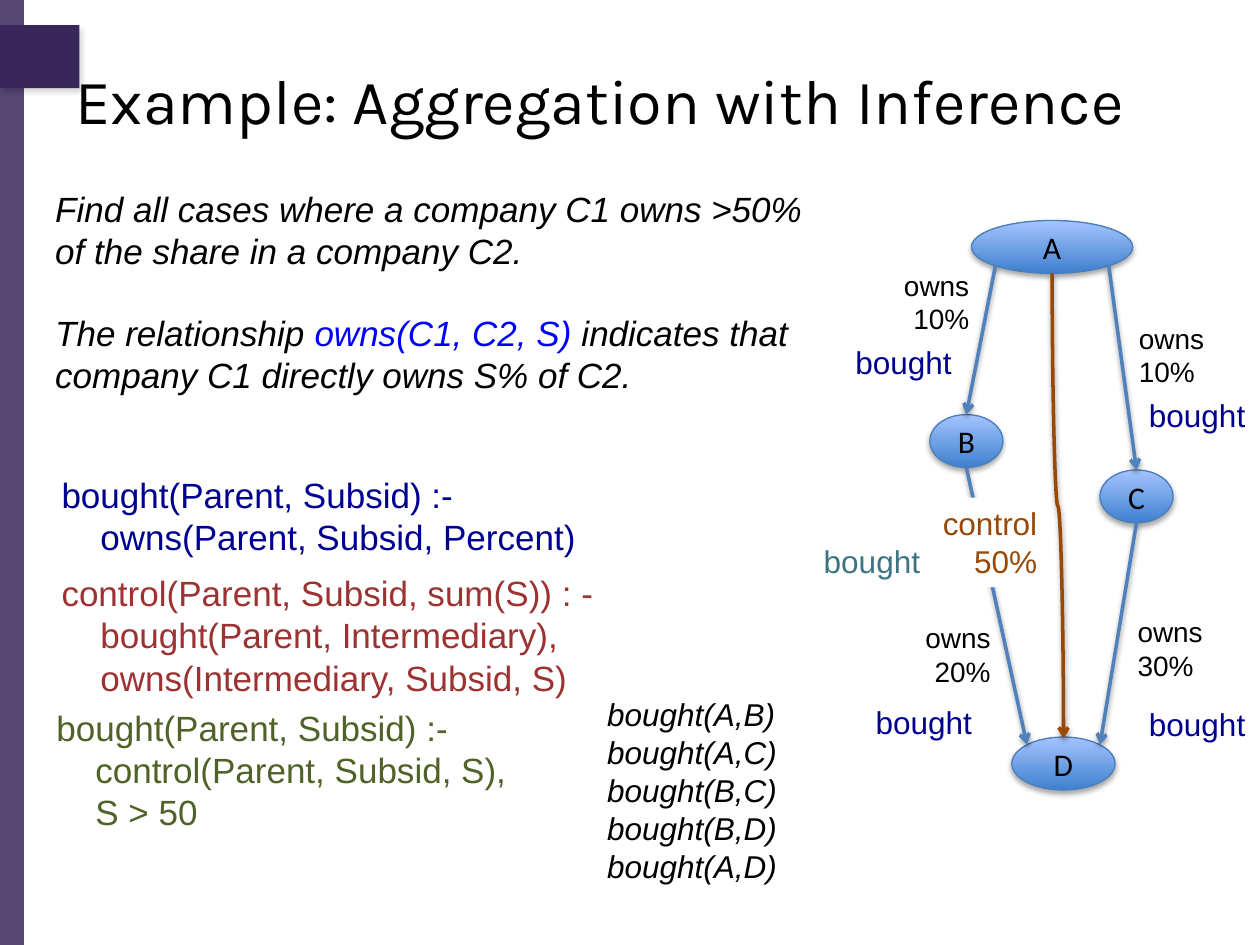
from lxml import etree
from pptx import Presentation
from pptx.dml.color import RGBColor
from pptx.enum.shapes import MSO_CONNECTOR as Link, MSO_SHAPE as Shape
from pptx.enum.text import MSO_ANCHOR as Anchor, PP_ALIGN as Align
from pptx.oxml import parse_xml
from pptx.oxml.ns import nsdecls, qn
from pptx.util import Inches, Pt

COLORS = {
    "purple": "39275B", "black": "000000", "white": "FFFFFF", "blue": "0000FF",
    "navy": "000090", "red": "9D3232", "green": "4F6228", "teal": "3C7483",
    "brown": "984807", "edge": "4F81BD", "node_line": "4B7EBC",
    "node_dark": "3F80CE", "node_light": "A4C4FF",
}
RGB = {name: RGBColor.from_string(value) for name, value in COLORS.items()}


def add_shadow(shape, alpha, blur, distance, angle):
    """Give the shape an outer black shadow; alpha in percent, lengths in points."""
    shape._element.spPr.append(parse_xml(
        f'<a:effectLst {nsdecls("a")}><a:outerShdw blurRad="{Pt(blur)}" '
        f'dist="{Pt(distance)}" dir="{angle * 60000}" rotWithShape="0">'
        f'<a:srgbClr val="{COLORS["black"]}"><a:alpha val="{alpha * 1000}"/>'
        '</a:srgbClr></a:outerShdw></a:effectLst>'))


def add_text(place, lines, size, color, align=Align.LEFT, italic=False):
    """Add a wrapping text box; each line becomes a paragraph."""
    box = page.shapes.add_textbox(*map(Inches, place))
    box.text_frame.word_wrap = True
    box.text_frame.text = "\n".join(lines)
    for para in box.text_frame.paragraphs:
        para.alignment = align
        for span in para.runs:
            span.font.name, span.font.size = "Arial", Pt(size)
            span.font.italic = italic
            span.font.color.rgb = RGB[color]
    return box


deck = Presentation()
deck.slide_width, deck.slide_height = Inches(10), Inches(7.5)
page = deck.slides.add_slide(deck.slide_layouts[5])

# Side band and tab
band = page.shapes.add_shape(Shape.RECTANGLE, 0, 0, Inches(0.19), Inches(7.5))
tab = page.shapes.add_shape(Shape.RECTANGLE, 0, Inches(0.2), Inches(0.63), Inches(0.5))
for bar in (band, tab):
    bar.fill.solid()
    bar.fill.fore_color.rgb = RGB["purple"]
    bar.line.fill.background()
band.shadow.inherit = False
band_color = band._element.spPr.find(qn("a:solidFill"))[0]
etree.SubElement(band_color, qn("a:alpha"), val="85000")
add_shadow(tab, 15, 3, 3, 60)

# Title, in front of the tab
title = page.shapes.title
page.shapes._spTree.append(title._element)
title.left, title.top = Inches(0.5), Inches(0.5)
title.width, title.height = Inches(9.33), Inches(0.58)
title.text_frame.text = "Example: Aggregation with Inference"
title.text_frame.vertical_anchor = Anchor.MIDDLE
para = title.text_frame.paragraphs[0]
para.alignment = Align.LEFT
para.font.name, para.font.size = "Karla", Pt(36)
para.font.color.rgb = RGB["black"]

# Problem statement
problem = add_text((0.34, 1.44, 6.33, 1.78), [
    "Find all cases where a company C1 owns >50% of the share in a company C2.",
    "The relationship "], 20, "black", italic=True)
para = problem.text_frame.paragraphs[1]
para.space_before = Pt(23)
for words, color in (("owns(C1, C2, S) ", "blue"),
                     ("indicates that company C1 directly owns S% of C2.", "black")):
    span = para.add_run()
    span.text = words
    span.font.name, span.font.size, span.font.italic = "Arial", Pt(20), True
    span.font.color.rgb = RGB[color]

# Company nodes
for name, left, top, width in (("A", 7.71, 1.75, 1.28), ("B", 7.38, 3.29, 0.58),
                               ("D", 8.03, 5.85, 0.82), ("C", 8.73, 3.73, 0.58)):
    node = page.shapes.add_shape(Shape.OVAL, Inches(left), Inches(top),
                                 Inches(width), Inches(0.42))
    node.fill.gradient()
    node.fill.gradient_angle = 90
    for stop, position, color in zip(node.fill.gradient_stops, (0, 1),
                                     ("node_dark", "node_light")):
        stop.position = position
        stop.color.rgb = RGB[color]
    node.line.color.rgb = RGB["node_line"]
    node.line.width = Pt(0.75)
    add_shadow(node, 35, 3.1, 1.8, 90)
    frame = node.text_frame
    frame.margin_left = frame.margin_right = 0
    frame.text = name
    frame.vertical_anchor = Anchor.MIDDLE
    para = frame.paragraphs[0]
    para.alignment = Align.CENTER
    para.font.name, para.font.size = "Calibri", Pt(18)
    para.font.color.rgb = RGB["black"]

# Ownership arrows, then the curved control arrow from A to D
control = (10.24, 3.97, 6.55, 4.06)  # ends before the quarter turn
for ends in ((7.9, 2.11, 7.67, 3.29), (8.8, 2.11, 9.02, 3.73),
             (9.02, 4.15, 8.73, 5.91), (7.67, 3.71, 8.15, 5.91), control):
    curved = ends == control
    arrow = page.shapes.add_connector(Link.CURVE if curved else Link.STRAIGHT,
                                      *map(Inches, ends))
    arrow.line.color.rgb = RGB["brown" if curved else "edge"]
    arrow.line.width = Pt(2)
    etree.SubElement(arrow.line._get_or_add_ln(), qn("a:tailEnd"), type="arrow")
    add_shadow(arrow, 38, 3.1, 1.6, 90)
    if curved:
        arrow._element.spPr.find(qn("a:xfrm")).set("rot", str(270 * 60000))

# Arrow labels
for left, top, width, share, align in (
        (6.95, 4.88, 1.01, 20, Align.RIGHT), (8.93, 4.83, 0.77, 30, Align.LEFT),
        (6.78, 2.08, 1.01, 10, Align.RIGHT), (8.94, 2.5, 1.01, 10, Align.LEFT)):
    add_text((left, top, width, 0.64), [f"owns {share}%"], 16, "black", align)

control_label = add_text((7.24, 3.95, 1.09, 0.71), ["control 50%"], 18, "brown", Align.RIGHT)
control_label.fill.solid()
control_label.fill.fore_color.rgb = RGB["white"]

add_text((6.25, 4.25, 1.15, 0.4), ["bought"], 18, "teal", Align.RIGHT)
for left, top in ((6.69, 2.67), (9.02, 3.09), (6.85, 5.53), (9.02, 5.55)):
    add_text((left, top, 1.15, 0.4), ["bought"], 18, "navy")

# Rules and derived facts
add_text((0.39, 3.71, 5, 0.77), [
    "bought(Parent, Subsid) :-",
    "    owns(Parent, Subsid, Percent)"], 20, "navy")
add_text((0.39, 4.49, 5, 1.11), [
    "control(Parent, Subsid, sum(S)) : -",
    "    bought(Parent, Intermediary),",
    "    owns(Intermediary, Subsid, S)"], 20, "red")
add_text((0.35, 5.56, 4.06, 1.11), [
    "bought(Parent, Subsid) :-",
    "    control(Parent, Subsid, S),",
    "    S > 50"], 20, "green")
add_text((4.72, 5.47, 1.95, 1.62),
         [f"bought({pair})" for pair in ("A,B", "A,C", "B,C", "B,D", "A,D")],
         18, "black", italic=True)

deck.save("out.pptx")
